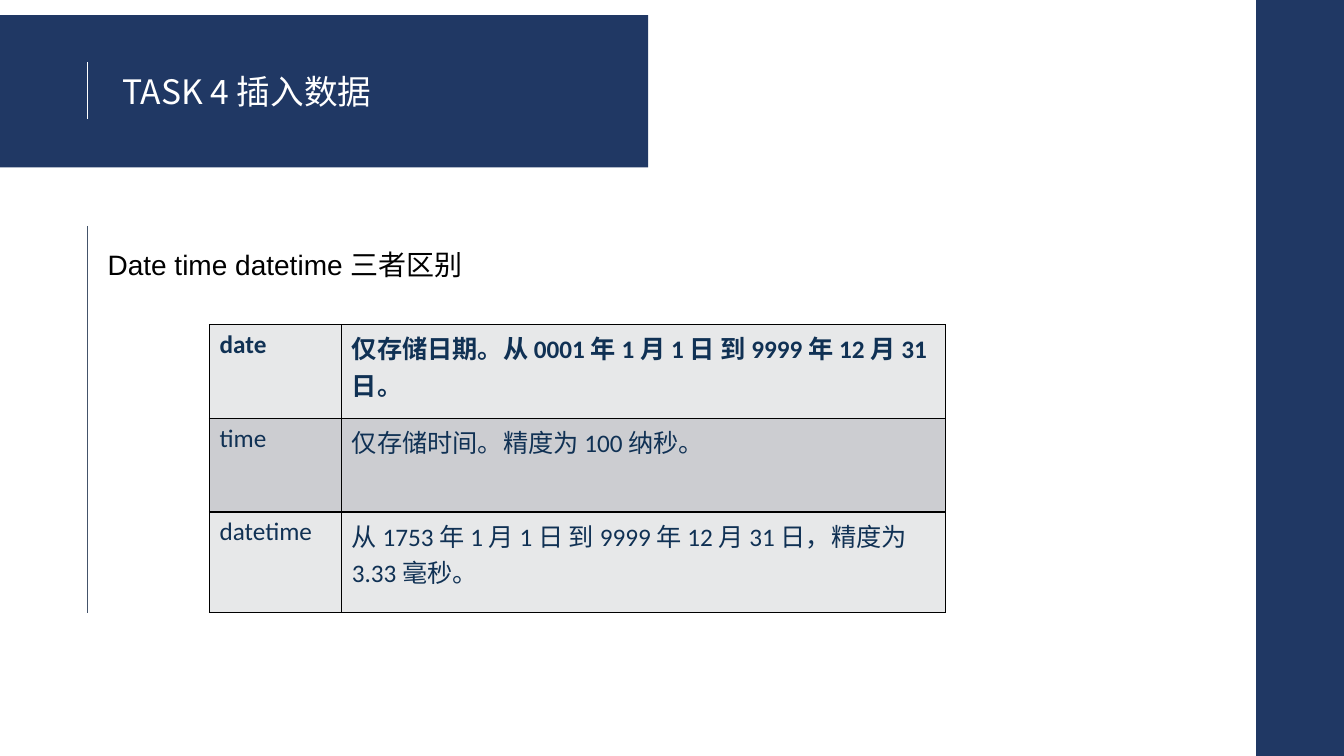
from dataclasses import dataclass

from lxml.etree import SubElement
from pptx import Presentation
from pptx.dml.color import RGBColor
from pptx.enum.shapes import MSO_CONNECTOR, MSO_SHAPE
from pptx.enum.text import MSO_ANCHOR, PP_ALIGN
from pptx.oxml.ns import qn
from pptx.shapes.autoshape import Shape
from pptx.slide import Slide
from pptx.table import _Cell
from pptx.text.text import _Paragraph
from pptx.util import Cm, Pt

COLOURS = {
    "navy": "203864",
    "white": "FFFFFF",
    "slate": "44546A",
    "black": "000000",
    "ink": "103154",
    "light": "E7E8E9",
    "grey": "CCCDD1",
}
CJK_FONT = "Noto Sans CJK SC"


@dataclass(frozen=True)
class Panel:
    left: float
    top: float
    width: float
    height: float


@dataclass(frozen=True)
class Rule:
    top: float
    bottom: float
    colour: str


@dataclass(frozen=True)
class DataType:
    name: str
    meaning: str
    height: float
    fill: str
    bold: bool = False


BANNER = Panel(0, 0.38, 16.33, 3.84)
SIDEBAR = Panel(31.65, 0, 2.21, 19.05)
RULE_X = 2.21
RULES = [Rule(1.57, 3, "white"), Rule(5.69, 15.44, "slate")]
COLUMN_WIDTHS = [3.33, 15.21]
DATA_TYPES = [
    DataType("date", "仅存储日期。从 0001 年 1 月 1 日 到 9999 年 12 月 31 日。", 2.36, "light", True),
    DataType("time", "仅存储时间。精度为 100 纳秒。", 2.36, "grey"),
    DataType("datetime", "从 1753 年 1 月 1 日 到 9999 年 12 月 31 日，精度为 3.33 毫秒。", 2.54, "light"),
]


def rgb(colour: str) -> RGBColor:
    """Look up a named colour."""
    return RGBColor.from_string(COLOURS[colour])


def write(paragraph: _Paragraph, text: str, size: int, font: str, colour: str, bold: bool = False) -> None:
    """Add one formatted run to a paragraph."""
    run = paragraph.add_run()
    run.text = text
    run.font.size = Pt(size)
    run.font.name = font
    run.font.bold = bold
    run.font.color.rgb = rgb(colour)
    SubElement(run.font._element, qn("a:ea"), typeface=CJK_FONT)


def draw_panel(slide: Slide, panel: Panel) -> Shape:
    """Draw a plain navy rectangle."""
    block = slide.shapes.add_shape(
        MSO_SHAPE.RECTANGLE, Cm(panel.left), Cm(panel.top), Cm(panel.width), Cm(panel.height)
    )
    block.shadow.inherit = False
    block.fill.solid()
    block.fill.fore_color.rgb = rgb("navy")
    block.line.fill.background()
    return block


def draw_rule(slide: Slide, rule: Rule) -> None:
    """Draw a thin vertical line beside the text."""
    line = slide.shapes.add_connector(
        MSO_CONNECTOR.STRAIGHT, Cm(RULE_X), Cm(rule.top), Cm(RULE_X), Cm(rule.bottom)
    )
    line.line.color.rgb = rgb(rule.colour)
    line.line.width = Pt(0.5)
    SubElement(line.element.spPr, qn("a:effectLst"))


def draw_title(slide: Slide, banner: Shape) -> None:
    """Place the title on its banner."""
    title = slide.shapes.title
    banner.element.addnext(title.element)
    title.left, title.top, title.width, title.height = Cm(2.64), Cm(1.65), Cm(11.91), Cm(1.27)
    title.text_frame.word_wrap = True
    title.text_frame.vertical_anchor = MSO_ANCHOR.MIDDLE
    heading = title.text_frame.paragraphs[0]
    heading.alignment = PP_ALIGN.LEFT
    write(heading, " TASK 4 插入数据", 24, CJK_FONT, "white")


def draw_subtitle(slide: Slide) -> None:
    """Write the line that introduces the table."""
    subtitle = slide.shapes.add_textbox(Cm(2.46), Cm(5.69), Cm(28.6), Cm(2.69))
    subtitle.text_frame.word_wrap = True
    topic = subtitle.text_frame.paragraphs[0]
    topic.line_spacing = 1.5
    write(topic, "Date time datetime 三者区别", 20, "Arial", "black")


def format_cell(cell: _Cell, fill: str) -> None:
    """Give a cell black borders and a solid fill."""
    properties = cell._tc.get_or_add_tcPr()
    for side in ("lnL", "lnR", "lnT", "lnB"):
        border = SubElement(properties, qn(f"a:{side}"), w=str(Pt(1)))
        solid = SubElement(border, qn("a:solidFill"))
        SubElement(solid, qn("a:srgbClr"), val=COLOURS["black"])
    cell.fill.solid()
    cell.fill.fore_color.rgb = rgb(fill)


def draw_table(slide: Slide) -> None:
    """Draw the comparison of the data types."""
    comparison = slide.shapes.add_table(
        len(DATA_TYPES), len(COLUMN_WIDTHS), Cm(5.28), Cm(8.18),
        Cm(sum(COLUMN_WIDTHS)), Cm(sum(kind.height for kind in DATA_TYPES)),
    ).table
    comparison.first_row = False
    comparison.horz_banding = False
    for column, width in zip(comparison.columns, COLUMN_WIDTHS):
        column.width = Cm(width)
    for row, kind in zip(comparison.rows, DATA_TYPES):
        row.height = Cm(kind.height)
        for cell, text in zip(row.cells, (kind.name, kind.meaning)):
            format_cell(cell, kind.fill)
            write(cell.text_frame.paragraphs[0], text, 18, "Calibri", "ink", kind.bold)


def main() -> None:
    """Build and save the slide."""
    deck = Presentation()
    deck.slide_width, deck.slide_height = Cm(33.86), Cm(19.05)
    slide = deck.slides.add_slide(deck.slide_layouts[5])
    draw_title(slide, draw_panel(slide, BANNER))
    for rule in RULES:
        draw_rule(slide, rule)
    draw_panel(slide, SIDEBAR)
    draw_subtitle(slide)
    draw_table(slide)
    deck.save("out.pptx")


if __name__ == "__main__":
    main()
